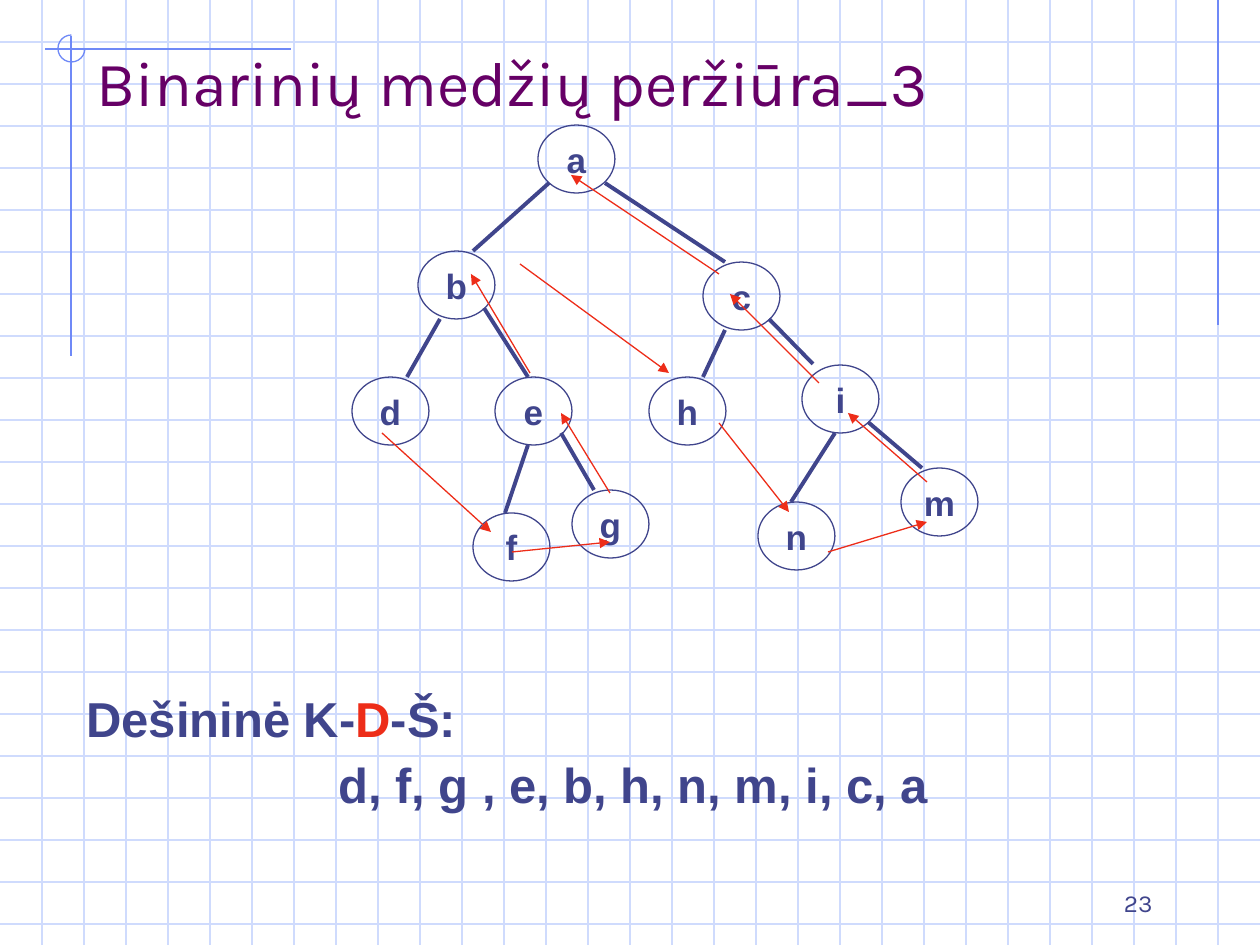
from dataclasses import dataclass

from lxml import etree
from pptx import Presentation
from pptx import util as u
from pptx.dml.color import RGBColor
from pptx.enum import shapes, text
from pptx.oxml import ns

SCALE = u.Inches(1) / 126
PAGE_W, PAGE_H = 1260, 945


@dataclass(frozen=True)
class Theme:
    ink: str = "40458C"
    heading: str = "660066"
    accent: str = "ED2D19"
    grid: str = "CFDBFD"
    ornament: str = "6F89F7"
    thin: float = 0.75
    thick: float = 2.25


THEME = Theme()
FORMATS = {
    "title": {"name": "Karla", "size": u.Pt(36), "bold": False},
    "number": {"name": "Karla", "size": u.Pt(14), "bold": False},
    "node": {"name": "Arial", "size": u.Pt(20), "bold": True},
    "body": {"name": "Arial", "size": u.Pt(28), "bold": True},
}

NODES = {
    "a": (186, 0), "b": (66, 126), "c": (351, 137), "d": (0, 252),
    "e": (143, 252), "g": (220, 365), "f": (121, 388), "h": (297, 252),
    "i": (450, 240), "n": (406, 377), "m": (549, 343),
}
EDGES = [
    (197, 58, 121, 126), (88, 194, 55, 252), (253, 58, 373, 137),
    (176, 320, 153, 388), (132, 183, 176, 252), (483, 308, 439, 377),
    (373, 205, 351, 252), (209, 308, 242, 365), (417, 194, 461, 239),
    (516, 297, 570, 343),
]
VISITS = [
    (30, 308, 139, 407), (160, 427, 258, 417), (258, 368, 209, 288),
    (178, 248, 119, 149), (168, 139, 317, 248), (367, 298, 437, 387),
    (476, 427, 575, 397), (575, 357, 496, 288), (467, 258, 378, 169),
    (367, 149, 219, 50),
]


def px(*values):
    return [u.Emu(round(value * SCALE)) for value in values]


def set_values(target, values):
    for name, value in values.items():
        setattr(target, name, value)


def add_line(page, ends, color, width=THEME.thin, arrow=False):
    line = page.shapes.add_connector(shapes.MSO_CONNECTOR.STRAIGHT, *px(*ends))
    line.line.color.rgb = RGBColor.from_string(color)
    line.line.width = u.Pt(width)
    properties = line.element.spPr
    if arrow:
        outline = properties.find(ns.qn("a:ln"))
        etree.SubElement(outline, ns.qn("a:tailEnd"), type="triangle")
    etree.SubElement(properties, ns.qn("a:effectLst"))


def add_outline(page, kind, box, color):
    shape = page.shapes.add_shape(kind, *px(*box))
    shape.shadow.inherit = False
    shape.fill.background()
    shape.line.color.rgb = RGBColor.from_string(color)
    shape.line.width = u.Pt(THEME.thin)
    return shape


def add_span(para, words, style, color):
    span = para.add_run()
    span.text = words
    set_values(span.font, FORMATS[style])
    span.font.color.rgb = RGBColor.from_string(color)


def add_box(page, box, anchor):
    frame = page.shapes.add_textbox(*px(*box)).text_frame
    set_values(frame, {"word_wrap": True, "vertical_anchor": anchor})
    return frame


def draw_grid(page, box, step):
    left, top, width, height = box
    right, bottom = left + width, top + height
    for y in range(top + step, bottom, step):
        add_line(page, (left, y, right, y), THEME.grid)
    for x in range(left + step, right, step):
        add_line(page, (x, top, x, bottom), THEME.grid)


def draw_corner(page, box):
    left, top, width, height = box
    add_line(page, (left + width, top + 14, left, top + 14), THEME.ornament)
    add_line(page, (left + 26, top + 1, left + 26, top + height), THEME.ornament)
    arc = add_outline(page, shapes.MSO_SHAPE.ARC, (left + 13, top, 27, 27), THEME.ornament)
    arc.adjustments[0] = 0
    arc.adjustments[1] = 162


def draw_title(page, box):
    para = add_box(page, box, text.MSO_ANCHOR.BOTTOM).paragraphs[0]
    add_span(para, "Binarinių medžių peržiūra_3", "title", THEME.heading)


def draw_node(page, box, letter):
    node = add_outline(page, shapes.MSO_SHAPE.OVAL, box, THEME.ink)
    frame = node.text_frame
    set_values(frame, {"word_wrap": False, "vertical_anchor": text.MSO_ANCHOR.MIDDLE})
    para = frame.paragraphs[0]
    para.alignment = text.PP_ALIGN.CENTER
    add_span(para, letter, "node", THEME.ink)


def draw_tree(page, box):
    left, top = box[:2]

    def moved(ends):
        return [value + shift for value, shift in zip(ends, (left, top, left, top))]

    for letter, (x, y) in NODES.items():
        draw_node(page, (left + x, top + y, 77, 68), letter)
    for ends in EDGES:
        add_line(page, moved(ends), THEME.ink, THEME.thick)
    for ends in VISITS:
        add_line(page, moved(ends), THEME.accent, arrow=True)


def draw_traversal(page, box):
    frame = add_box(page, box, text.MSO_ANCHOR.TOP)
    label = frame.paragraphs[0]
    for words, color in (("Dešininė K-", THEME.ink), ("D", THEME.accent), ("-Š:", THEME.ink)):
        add_span(label, words, "body", color)
    order = frame.add_paragraph()
    order.space_before = u.Pt(4.5)
    order._p.get_or_add_pPr().set("marL", str(u.Inches(2)))
    add_span(order, "d, f, g , e, b, h, n, m, i, c, a", "body", THEME.ink)


def draw_number(page, box):
    para = add_box(page, box, text.MSO_ANCHOR.BOTTOM).paragraphs[0]
    para.alignment = text.PP_ALIGN.RIGHT
    add_span(para, "23", "number", THEME.ink)


def main():
    deck = Presentation()
    deck.slide_width, deck.slide_height = px(PAGE_W, PAGE_H)
    page = deck.slides.add_slide(deck.slide_layouts[6])
    draw_grid(page, (0, 0, PAGE_W, PAGE_H), 42)
    add_line(page, (1218, 0, 1218, 325), THEME.ornament)
    draw_corner(page, (45, 35, 246, 321))
    draw_number(page, (903, 861, 262, 63))
    draw_title(page, (84, 42, 1071, 83))
    draw_tree(page, (352, 125, 626, 456))
    draw_traversal(page, (74, 682, 1012, 211))
    deck.save("out.pptx")


if __name__ == "__main__":
    main()
